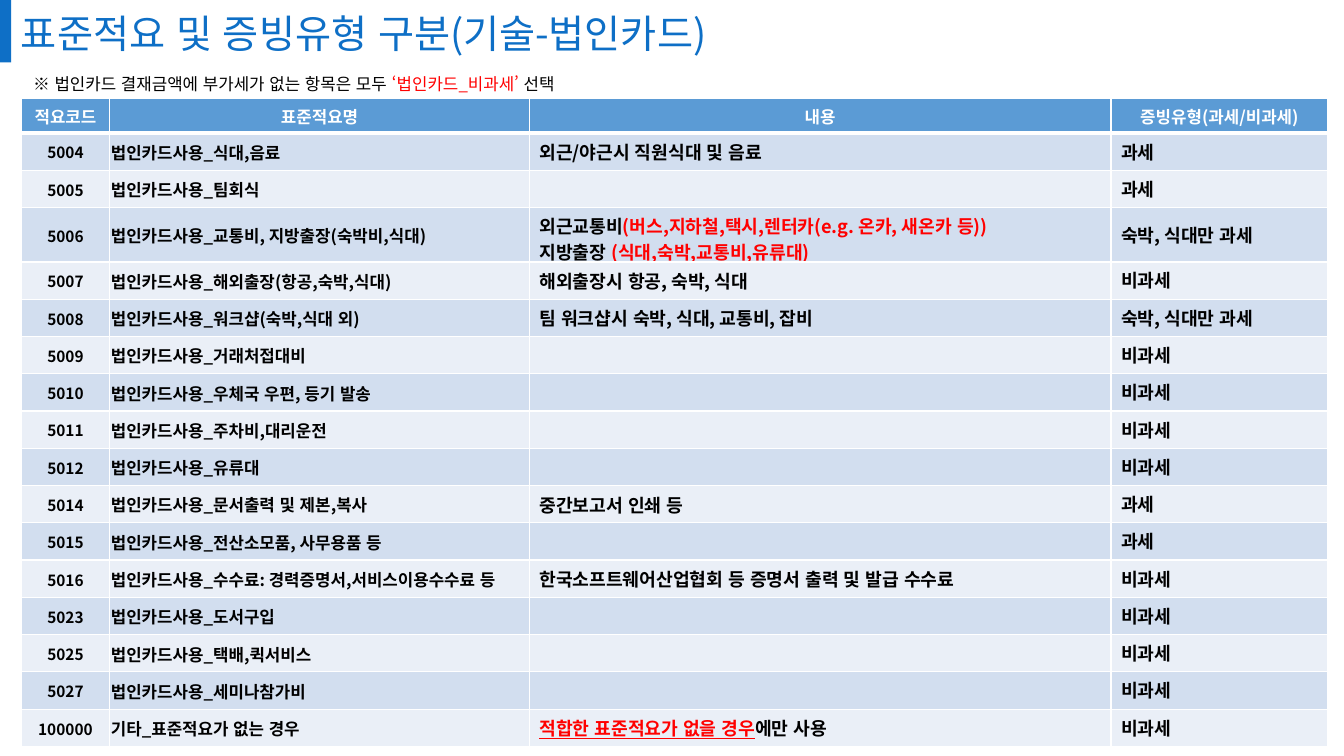
from dataclasses import dataclass

import lxml.etree
import pptx
import pptx.dml.color
import pptx.enum.lang
import pptx.enum.shapes
import pptx.enum.text
import pptx.oxml.ns
import pptx.util

Inches = pptx.util.Inches
Anchor = pptx.enum.text.MSO_ANCHOR
Align = pptx.enum.text.PP_ALIGN


@dataclass(frozen=True)
class Theme:
    font: str = "Noto Sans CJK KR"
    accent: str = "0E6FC6"
    header: str = "5B9BD5"
    bands: tuple = ("D2DEEF", "EAEFF7")
    white: str = "FFFFFF"
    black: str = "000000"
    red: str = "FF0000"
    title_size: int = 28
    label_size: int = 12
    code_size: int = 11
    detail_size: int = 13


THEME = Theme()
RED = {"color": THEME.red}
HEADINGS = ["적요코드", "표준적요명", "내용", "증빙유형(과세/비과세)"]
COLUMN_WIDTHS = [0.88, 4.16, 5.77, 2.15]
HEADER_HEIGHT, ROW_HEIGHT, TALL_ROW_HEIGHT = 0.34, 0.37, 0.54
TALL_CODE = "5006"
TIGHT = {"margin_left": 0.01, "margin_right": 0.01, "margin_top": 0.01, "margin_bottom": 0}
TAXED, EXEMPT, PARTLY = "과세", "비과세", "숙박, 식대만 과세"

# Details are lists of paragraphs; each paragraph is a list of (text, format) spans.
ENTRIES = [
    ("5004", "법인카드사용_식대,음료", [[("외근/야근시 직원식대 및 음료", {})]], TAXED),
    ("5005", "법인카드사용_팀회식", [[]], TAXED),
    (TALL_CODE, "법인카드사용_교통비, 지방출장(숙박비,식대)",
     [[("외근교통비", {}), ("(버스,지하철,택시,렌터카(e.g. 온카, 새온카 등))", RED)],
      [("지방출장 ", {}), ("(식대,숙박,교통비,유류대)", RED)]], PARTLY),
    ("5007", "법인카드사용_해외출장(항공,숙박,식대)", [[("해외출장시 항공, 숙박, 식대", {})]], EXEMPT),
    ("5008", "법인카드사용_워크샵(숙박,식대 외)",
     [[("팀 워크샵시 숙박, 식대, 교통비, 잡비", {})]], PARTLY),
    ("5009", "법인카드사용_거래처접대비", [[]], EXEMPT),
    ("5010", "법인카드사용_우체국 우편, 등기 발송", [[]], EXEMPT),
    ("5011", "법인카드사용_주차비,대리운전", [[]], EXEMPT),
    ("5012", "법인카드사용_유류대", [[]], EXEMPT),
    ("5014", "법인카드사용_문서출력 및 제본,복사", [[("중간보고서 인쇄 등", {})]], TAXED),
    ("5015", "법인카드사용_전산소모품, 사무용품 등", [[]], TAXED),
    ("5016", "법인카드사용_수수료: 경력증명서,서비스이용수수료 등",
     [[("한국소프트웨어산업협회 등 증명서 출력 및 발급 수수료", {})]], EXEMPT),
    ("5023", "법인카드사용_도서구입", [[]], EXEMPT),
    ("5025", "법인카드사용_택배,퀵서비스", [[]], EXEMPT),
    ("5027", "법인카드사용_세미나참가비", [[]], EXEMPT),
    ("100000", "기타_표준적요가 없는 경우",
     [[("적합한 표준적요가 없을 경우", {**RED, "underline": True}), ("에만 사용", {})]], EXEMPT),
]


def rgb(color):
    return pptx.dml.color.RGBColor.from_string(color)


def add_xml(parent, tag, **attributes):
    return lxml.etree.SubElement(parent, pptx.oxml.ns.qn(tag), attributes)


class SlideBuilder:
    def __init__(self, slide, theme):
        self.slide = slide
        self.theme = theme

    def fill_frame(self, frame, paragraphs, style, align=Align.LEFT):
        """Fill a text frame; span formats override the shared style."""
        for index, spans in enumerate(paragraphs):
            para = frame.add_paragraph() if index else frame.paragraphs[0]
            para.alignment = align
            for text, overrides in spans:
                span = para.add_run()
                span.text = text
                self.format_font(span.font, {**style, **overrides})
                add_xml(span.font._element, "a:ea", typeface=self.theme.font)
            if not spans:
                # Keeps an empty cell from growing to the default type size.
                add_xml(para._p, "a:endParaRPr", sz=str(style["size"] * 100))

    def format_font(self, font, style):
        values = {"color": self.theme.black, **style}
        font.color.rgb = rgb(values.pop("color"))
        values["size"] = pptx.util.Pt(values["size"])
        values["name"] = self.theme.font
        values["language_id"] = pptx.enum.lang.MSO_LANGUAGE_ID.KOREAN
        for name, value in values.items():
            setattr(font, name, value)

    def text(self, left, top, width, height, spans, style, wrap=True):
        box = self.slide.shapes.add_textbox(*map(Inches, (left, top, width, height)))
        box.text_frame.word_wrap = wrap
        self.fill_frame(box.text_frame, [spans], style)

    def bar(self, left, top, width, height, color):
        box = self.slide.shapes.add_shape(
            pptx.enum.shapes.MSO_SHAPE.RECTANGLE, *map(Inches, (left, top, width, height)))
        box.shadow.inherit = False
        box.fill.solid()
        box.fill.fore_color.rgb = rgb(color)
        box.line.fill.background()

    def cell(self, cell, paragraphs, style, fill, align=Align.LEFT,
             anchor=Anchor.MIDDLE, margins=None, bottom_border=1):
        cell.vertical_anchor = anchor
        for name, value in (margins or {}).items():
            setattr(cell, name, Inches(value))
        for side, width in {"L": 1, "R": 1, "T": 1, "B": bottom_border}.items():
            line = add_xml(cell._tc.get_or_add_tcPr(), f"a:ln{side}", w=str(pptx.util.Pt(width)))
            add_xml(add_xml(line, "a:solidFill"), "a:srgbClr", val=self.theme.white)
        cell.fill.solid()
        cell.fill.fore_color.rgb = rgb(fill)
        self.fill_frame(cell.text_frame, paragraphs, style, align)

    def expense_table(self, left, top, entries):
        theme = self.theme
        heights = [HEADER_HEIGHT] + [
            TALL_ROW_HEIGHT if entry[0] == TALL_CODE else ROW_HEIGHT for entry in entries]
        table = self.slide.shapes.add_table(
            len(heights), len(HEADINGS), Inches(left), Inches(top),
            Inches(sum(COLUMN_WIDTHS)), Inches(sum(heights))).table
        for column, width in zip(table.columns, COLUMN_WIDTHS):
            column.width = Inches(width)
        for row, height in zip(table.rows, heights):
            row.height = Inches(height)

        heading_style = {"size": theme.label_size, "bold": True, "color": theme.white}
        for column, heading in enumerate(HEADINGS):
            self.cell(table.cell(0, column), [[(heading, {})]], heading_style, theme.header,
                      align=Align.CENTER, anchor=Anchor.BOTTOM, bottom_border=3)

        code_style, label_style, detail_style = (
            {"size": size, "bold": True}
            for size in (theme.code_size, theme.label_size, theme.detail_size))
        for row, (code, label, details, tax) in enumerate(entries, start=1):
            fill = theme.bands[(row - 1) % 2]
            tax_anchor = Anchor.MIDDLE if code == TALL_CODE else Anchor.TOP
            self.cell(table.cell(row, 0), [[(code, {})]], code_style, fill,
                      align=Align.CENTER, margins=TIGHT)
            self.cell(table.cell(row, 1), [[(label, {})]], label_style, fill, margins=TIGHT)
            self.cell(table.cell(row, 2), details, detail_style, fill)
            self.cell(table.cell(row, 3), [[(tax, {})]], detail_style, fill, anchor=tax_anchor)


def main():
    deck = pptx.Presentation()
    deck.slide_width, deck.slide_height = Inches(13.33), Inches(7.5)
    page = SlideBuilder(deck.slides.add_slide(deck.slide_layouts[6]), THEME)
    page.text(0.11, 0.04, 7.69, 0.57, [("표준적요 및 증빙유형 구분(기술-법인카드)", {})],
              {"size": THEME.title_size, "color": THEME.accent}, wrap=False)
    page.bar(0, 0, 0.11, 0.62, THEME.accent)
    page.expense_table(0.21, 0.98, ENTRIES)
    page.text(0.23, 0.68, 8.56, 0.3,
              [("※ 법인카드 결재금액에 부가세가 없는 항목은 모두 ", {}),
               ("‘법인카드_비과세’", RED), (" 선택", {})],
              {"size": THEME.label_size})
    deck.save("out.pptx")


if __name__ == "__main__":
    main()
